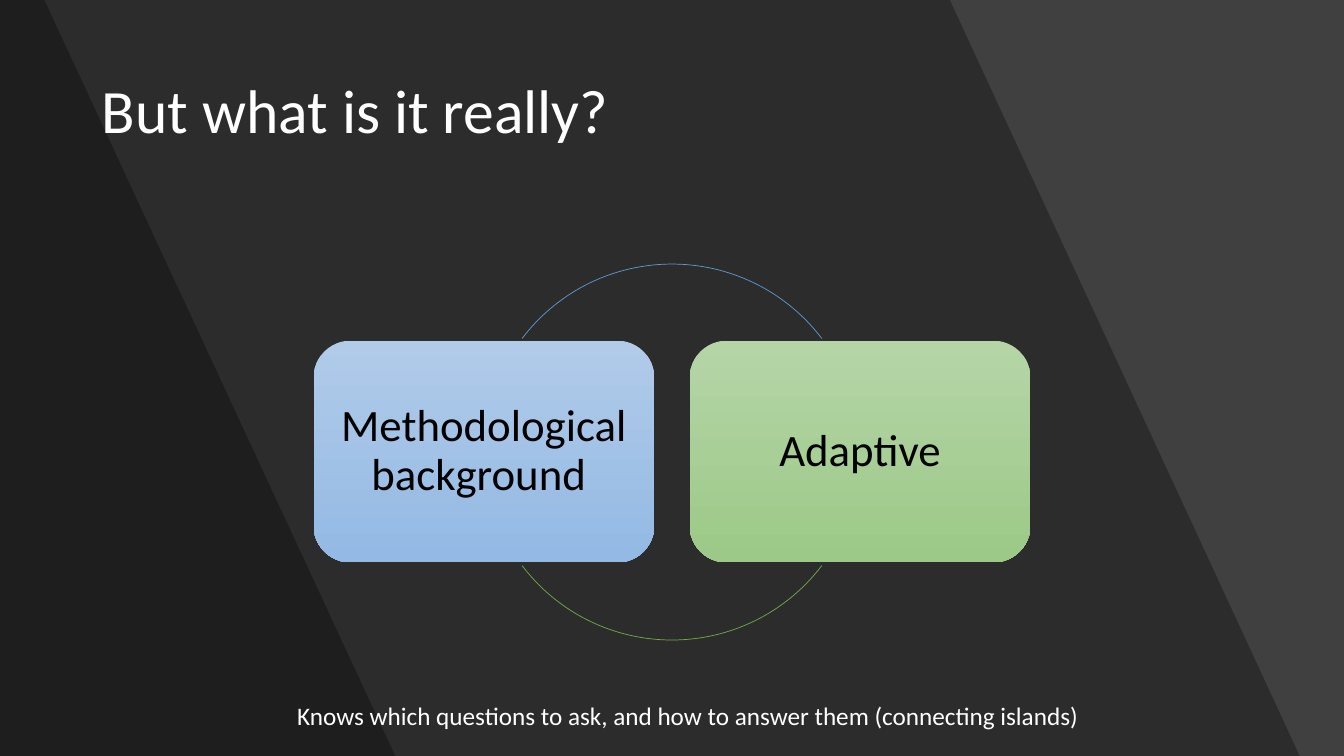
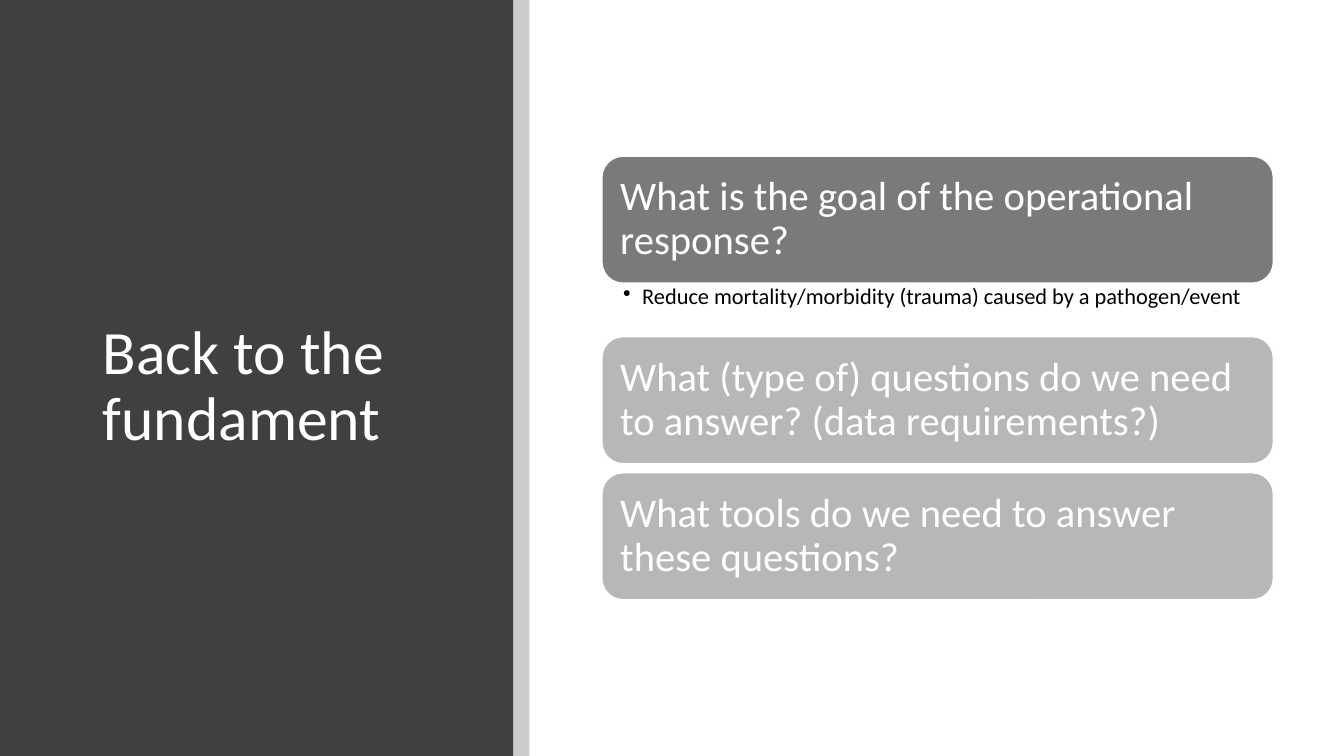
from lxml import etree
from pptx import Presentation
from pptx.dml.color import RGBColor
from pptx.enum.shapes import MSO_SHAPE
from pptx.enum.text import MSO_ANCHOR, MSO_AUTO_SIZE, PP_ALIGN
from pptx.oxml.ns import qn
from pptx.util import Inches, Pt

RECT, ROUND_RECT, ARC = MSO_SHAPE.RECTANGLE, MSO_SHAPE.ROUNDED_RECTANGLE, MSO_SHAPE.ARC
LEFT, CENTER = PP_ALIGN.LEFT, PP_ALIGN.CENTER
TOP, MIDDLE = MSO_ANCHOR.TOP, MSO_ANCHOR.MIDDLE
NO_AUTOFIT = MSO_AUTO_SIZE.NONE

FONT = "Calibri"
WHITE = RGBColor(0xFF, 0xFF, 0xFF)
BLACK = RGBColor(0x00, 0x00, 0x00)
CHARCOAL = RGBColor(0x40, 0x40, 0x40)
DARK_GRAY = RGBColor(0x7A, 0x7A, 0x7A)
LIGHT_GRAY = RGBColor(0xB7, 0xB7, 0xB7)
BLUE = RGBColor(0x5B, 0x9B, 0xD5)
GREEN = RGBColor(0x70, 0xAD, 0x47)
BLUE_GRADIENT = (RGBColor(0xB1, 0xCB, 0xE9), RGBColor(0x93, 0xB9, 0xE4))
GREEN_GRADIENT = (RGBColor(0xB5, 0xD5, 0xA7), RGBColor(0x9C, 0xC9, 0x87))

SLIDE_W, SLIDE_H = 13.33, 7.5
TITLE_ONLY = 5


# Shared helpers
def write(shape, text, size, color, align=LEFT, anchor=MIDDLE, spacing=0.9):
    frame = shape.text_frame
    frame.word_wrap = True
    frame.vertical_anchor = anchor
    frame.text = text
    paragraph = frame.paragraphs[0]
    paragraph.alignment = align
    paragraph.line_spacing = spacing
    font = paragraph.runs[0].font
    font.name, font.size, font.color.rgb = FONT, Pt(size), color
    return paragraph


def set_insets(shape, left, top, right, bottom):
    frame = shape.text_frame
    frame.margin_left, frame.margin_top = Inches(left), Inches(top)
    frame.margin_right, frame.margin_bottom = Inches(right), Inches(bottom)


def paint(shape, color, opacity=100):
    shape.shadow.inherit = False
    shape.fill.solid()
    shape.fill.fore_color.rgb = color
    shape.line.fill.background()
    if opacity < 100:
        rgb = shape.fill._xPr.find(".//" + qn("a:srgbClr"))
        etree.SubElement(rgb, qn("a:alpha"), val=str(opacity * 1000))


def add_box(slide, preset, left, top, width, height):
    return slide.shapes.add_shape(
        preset, Inches(left), Inches(top), Inches(width), Inches(height))


def add_text(slide, text, left, top, width, height, size, color, **style):
    box = slide.shapes.add_textbox(
        Inches(left), Inches(top), Inches(width), Inches(height))
    return box, write(box, text, size, color, **style)


def add_slide(deck, background):
    slide = deck.slides.add_slide(deck.slide_layouts[TITLE_ONLY])
    slide.background.fill.solid()
    slide.background.fill.fore_color.rgb = background
    return slide


def place_title(slide, text, left, top, width, height):
    title = slide.shapes.title
    title.left, title.top = Inches(left), Inches(top)
    title.width, title.height = Inches(width), Inches(height)
    write(title, text, 44, WHITE)
    title.text_frame.auto_size = NO_AUTOFIT
    # Bring the title in front of the background bands
    slide.shapes._spTree.append(title._element)


# Elements of the cycle slide
def add_slanted_band(slide, top_right, bottom_right):
    builder = slide.shapes.build_freeform(0, 0)
    builder.add_line_segments([
        (Inches(top_right), 0),
        (Inches(bottom_right), Inches(SLIDE_H)),
        (0, Inches(SLIDE_H)),
    ])
    paint(builder.convert_to_shape(), BLACK, opacity=30)


def add_cycle_node(slide, text, left, gradient):
    node = add_box(slide, ROUND_RECT, left, 3.38, 3.38, 2.2)
    node.shadow.inherit = False
    node.fill.gradient()
    node.fill.gradient_angle = 270
    for stop, color in zip(node.fill.gradient_stops, gradient):
        stop.color.rgb = color
    node.line.fill.background()
    set_insets(node, 0.13, 0.13, 0.13, 0.13)
    write(node, text, 32, BLACK, CENTER)


def add_cycle_arc(slide, start, end, color):
    """Angles are degrees, clockwise from three o'clock."""
    arc = add_box(slide, ARC, 4.8, 2.62, 3.73, 3.73)
    arc.shadow.inherit = False
    arc.fill.background()
    for index, degrees in enumerate((start, end)):
        arc.adjustments[index] = degrees * 60000 / 100000
    arc.line.color.rgb = color
    arc.line.width = Pt(0.5)


def build_cycle_slide(deck):
    slide = add_slide(deck, CHARCOAL)
    add_slanted_band(slide, 9.42, 12.89)
    add_slanted_band(slide, 0.44, 3.92)
    place_title(slide, "But what is it really?", 0.91, 0.4, 11.51, 1.45)

    add_cycle_node(slide, "Methodological background ", 3.11, BLUE_GRADIENT)
    add_cycle_node(slide, "Adaptive", 6.84, GREEN_GRADIENT)
    tilt = 37.15
    add_cycle_arc(slide, 180 + tilt, 360 - tilt, BLUE)
    add_cycle_arc(slide, tilt, 180 - tilt, GREEN)

    add_text(slide, "Knows which questions to ask, and how to answer them "
             "(connecting islands)", 2.85, 6.9, 9.46, 0.4, 18, WHITE,
             anchor=TOP, spacing=1.0)


# Elements of the questions slide
CARD_LEFT, CARD_W, CARD_H, CARD_GAP = 5.97, 6.66, 1.26, 0.09
ANSWER_H = 0.53


def add_card(slide, text, top, color):
    card = add_box(slide, ROUND_RECT, CARD_LEFT, top, CARD_W, CARD_H)
    paint(card, color)
    card.line.color.rgb = WHITE
    card.line.width = Pt(1)
    set_insets(card, 0.12, 0.12, 0.12, 0.12)
    write(card, text, 29, WHITE)


def add_answer(slide, text, top):
    box, paragraph = add_text(slide, text, CARD_LEFT, top, CARD_W, ANSWER_H,
                              16, BLACK, anchor=TOP)
    set_insets(box, 0.21, 0.02, 0.12, 0.02)
    properties = paragraph._p.get_or_add_pPr()
    properties.set("marL", str(Inches(0.19)))
    properties.set("indent", str(-Inches(0.19)))
    etree.SubElement(properties, qn("a:buChar"), char="•")


def build_questions_slide(deck):
    slide = add_slide(deck, WHITE)
    panel_w, stripe_w = 5.09, 0.16
    paint(add_box(slide, RECT, 0, 0, panel_w, SLIDE_H), CHARCOAL)
    paint(add_box(slide, RECT, panel_w, 0, stripe_w, SLIDE_H), BLACK, opacity=20)
    place_title(slide, "Back to the fundament", 0.92, 0.89, 3.65, 5.91)

    questions = [
        ("What is the goal of the operational response?", DARK_GRAY,
         "Reduce mortality/morbidity (trauma) caused by a pathogen/event"),
        ("What (type of) questions do we need to answer? (data requirements?)",
         LIGHT_GRAY, None),
        ("What tools do we need to answer these questions?", LIGHT_GRAY, None),
    ]
    top = 1.55
    for question, color, answer in questions:
        add_card(slide, question, top, color)
        if answer:
            add_answer(slide, answer, top + CARD_H)
        top += CARD_H + (ANSWER_H if answer else CARD_GAP)


def main():
    deck = Presentation()
    deck.slide_width, deck.slide_height = Inches(SLIDE_W), Inches(SLIDE_H)
    build_cycle_slide(deck)
    build_questions_slide(deck)
    deck.save("out.pptx")


if __name__ == "__main__":
    main()
